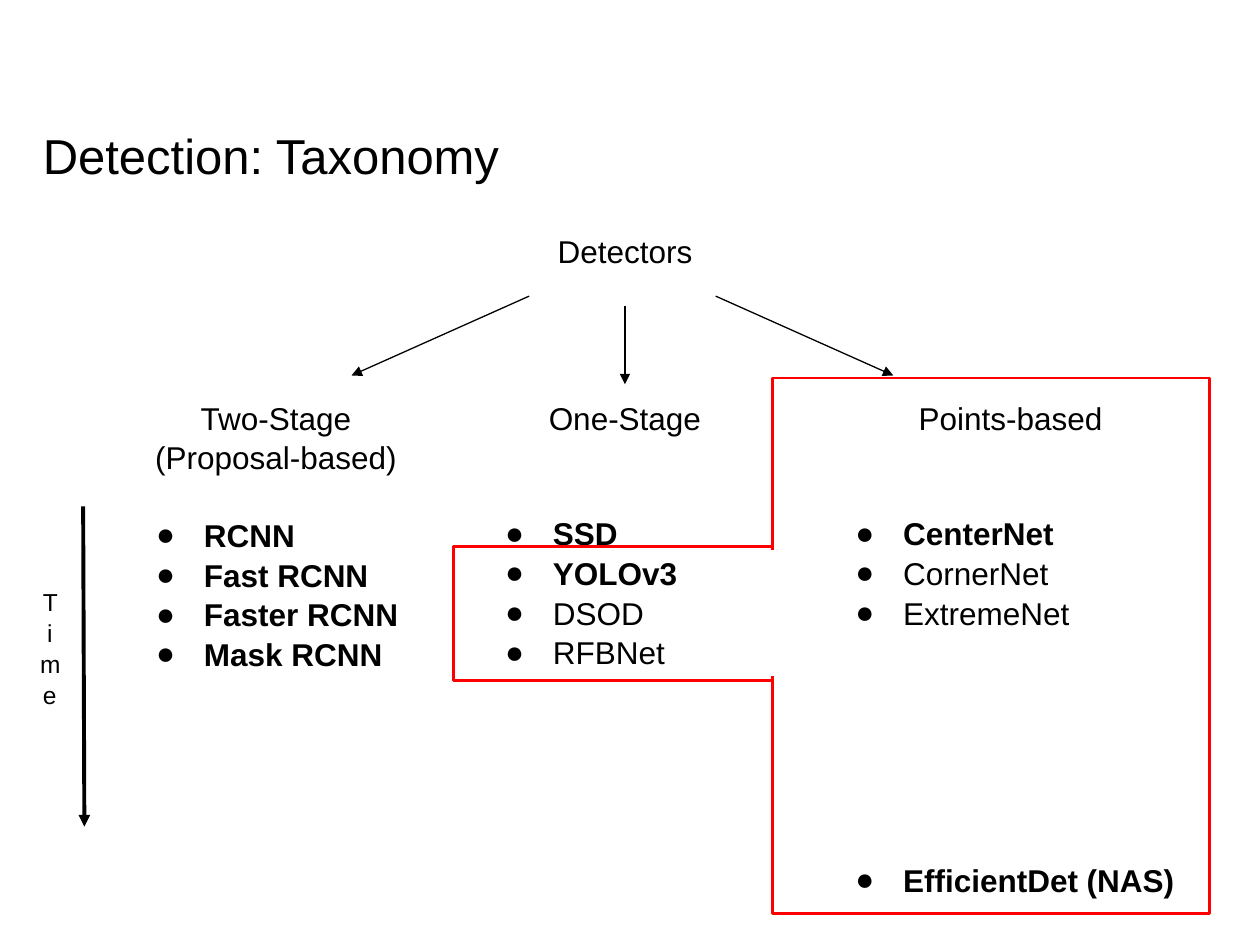
from pptx import Presentation
from pptx.dml.color import RGBColor
from pptx.enum import shapes, text
from pptx.oxml.ns import qn
from pptx.util import Inches, Pt
from lxml import etree

BLACK = RGBColor(0, 0, 0)
RED = RGBColor(0xFF, 0, 0)
WHITE = RGBColor(0xFF, 0xFF, 0xFF)
FONT = "Arial"
SPACING = 1.05
LINE = 21.65  # points taken by one line of 18 pt text

# Each column: box, heading, lines left free under it,
# then items as (label, bold, free lines before)
COLUMNS = [
    ((1.02, 3.05, 2.34, 3.35), "Two-Stage (Proposal-based)", 1,
     [("RCNN", True, 0), ("Fast RCNN", True, 0),
      ("Faster RCNN", True, 0), ("Mask RCNN", True, 0)]),
    ((3.79, 3.05, 2.34, 3.1), "One-Stage", 2,
     [("SSD", True, 0), ("YOLOv3", True, 0),
      ("DSOD", False, 0), ("RFBNet", False, 0)]),
    ((6.57, 3.05, 2.9, 4.25), "Points-based", 2,
     [("CenterNet", True, 0), ("CornerNet", False, 0),
      ("ExtremeNet", False, 0), ("EfficientDet (NAS)", True, 6)]),
]


def add_box(s, box, inset=0.1):
    tf = s.shapes.add_textbox(*map(Inches, box)).text_frame
    formats = {"word_wrap": True, "auto_size": text.MSO_AUTO_SIZE.NONE,
               "vertical_anchor": text.MSO_ANCHOR.TOP,
               "margin_left": Inches(inset), "margin_right": Inches(inset),
               "margin_top": Inches(0.1), "margin_bottom": Inches(0.1)}
    for name, value in formats.items():
        setattr(tf, name, value)
    return tf


def write(p, words, size=18, bold=False, align=text.PP_ALIGN.CENTER):
    p.alignment = align
    p.line_spacing = SPACING
    r = p.add_run()
    r.text = words
    for name, value in {"name": FONT, "size": Pt(size), "bold": bold}.items():
        setattr(r.font, name, value)
    r.font.color.rgb = BLACK


def add_bullet(p):
    pPr = p._p.get_or_add_pPr()
    pPr.set("marL", str(Inches(0.5)))
    pPr.set("indent", str(Inches(-0.38)))
    etree.SubElement(pPr, qn("a:buFont"), typeface=FONT)
    etree.SubElement(pPr, qn("a:buChar"), char="●")


def add_column(s, box, heading, gap, items):
    tf = add_box(s, box)
    write(tf.paragraphs[0], heading)
    for i, (label, bold, free) in enumerate(items):
        p = tf.add_paragraph()
        add_bullet(p)
        free = free if i else gap
        if free:
            p.space_before = Pt(free * LINE)
        write(p, label, bold=bold, align=text.PP_ALIGN.LEFT)


def add_arrow(s, x1, y1, x2, y2, width=0.75):
    c = s.shapes.add_connector(shapes.MSO_CONNECTOR.STRAIGHT,
                               *map(Inches, (x1, y1, x2, y2)))
    c.line.color.rgb = BLACK
    c.line.width = Pt(width)
    etree.SubElement(c.line._get_or_add_ln(), qn("a:tailEnd"), type="triangle")
    etree.SubElement(c._element.spPr, qn("a:effectLst"))


def add_rect(s, box, color, width, filled=False):
    sp = s.shapes.add_shape(shapes.MSO_SHAPE.RECTANGLE, *map(Inches, box))
    sp.shadow.inherit = False
    if filled:
        sp.fill.solid()
        sp.fill.fore_color.rgb = color
    else:
        sp.fill.background()
    sp.line.color.rgb = color
    sp.line.width = Pt(width)


def add_tree(s):
    write(add_box(s, (3.79, 1.73, 2.34, 0.7)).paragraphs[0], "Detectors")
    for column in COLUMNS:
        add_column(s, *column)
    add_arrow(s, 4.2, 2.35, 2.79, 2.98)
    add_arrow(s, 5.68, 2.35, 7.09, 2.98)
    add_arrow(s, 4.96, 2.43, 4.96, 3.05)


def add_time_axis(s):
    add_arrow(s, 0.66, 4.02, 0.67, 6.56, width=2.25)
    # The narrow box stacks the letters
    write(add_box(s, (0.22, 4.55, 0.35, 1.48)).paragraphs[0], "Time", size=14)


def main():
    prs = Presentation()
    prs.slide_width, prs.slide_height = Inches(10), Inches(7.5)
    s = prs.slides.add_slide(prs.slide_layouts[6])

    # Highlight around the points-based column
    add_rect(s, (6.13, 3, 3.47, 4.25), RED, 1.5)

    title = add_box(s, (0.34, 0.87, 9.32, 1.11), inset=0)
    write(title.paragraphs[0], "Detection: Taxonomy", size=28,
          align=text.PP_ALIGN.LEFT)
    add_tree(s)
    add_time_axis(s)

    # Highlight around later one-stage models, opened into the first one
    add_rect(s, (3.6, 4.34, 2.53, 1.06), RED, 1.5)
    add_rect(s, (6.05, 4.37, 0.35, 0.99), WHITE, 0.75, filled=True)

    prs.save("out.pptx")


if __name__ == "__main__":
    main()
